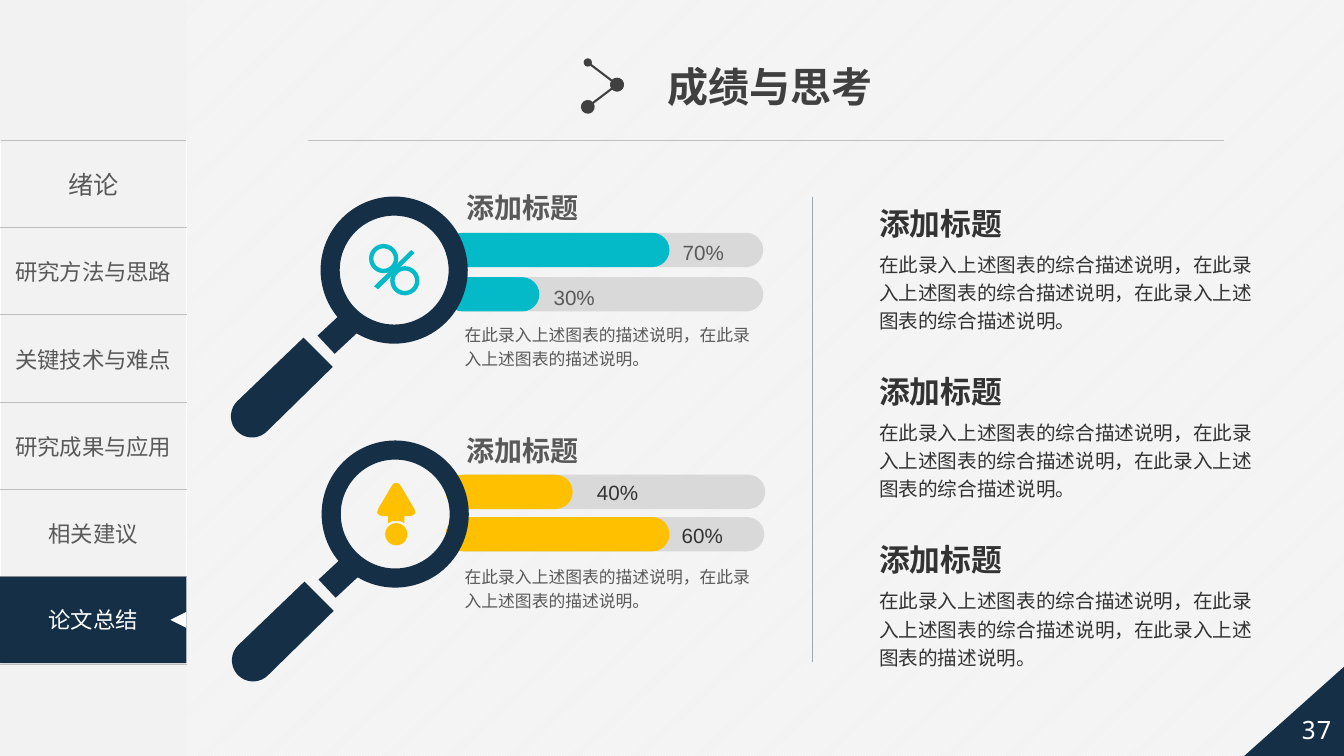
from dataclasses import dataclass
from math import cos, radians, sin
from lxml.etree import SubElement
from pptx import Presentation
from pptx.dml.color import RGBColor
from pptx.enum.dml import MSO_PATTERN
from pptx.enum.shapes import MSO_CONNECTOR, MSO_SHAPE
from pptx.enum.text import MSO_ANCHOR, MSO_AUTO_SIZE, PP_ALIGN
from pptx.oxml.ns import qn
from pptx.util import Inches, Pt


@dataclass(frozen=True)
class Theme:
    navy: str = "152F47"
    teal: str = "05BAC8"
    gold: str = "FFC000"
    track: str = "D9D9D9"
    rule: str = "BFBFBF"
    split: str = "9DA8B1"
    pale: str = "F2F2F2"
    white: str = "FFFFFF"
    head: str = "404040"
    dark: str = "333333"
    gray: str = "595959"
    sans: str = "Noto Sans CJK SC"
    mono: str = "Noto Sans Mono"
    latin: str = "Arial"
    title: float = 29.3
    large: float = 22
    sub: float = 20
    nav: float = 18
    menu: float = 16
    value: float = 14.7
    body: float = 14
    note: float = 12


class Deck:
    def __init__(self, theme, slide):
        self.theme = theme
        self.slide = slide
        self.shapes = slide.shapes

    def color(self, name):
        return RGBColor.from_string(name)

    def ground(self):
        fill = self.slide.background.fill
        fill.patterned()
        fill.pattern = MSO_PATTERN.LIGHT_UPWARD_DIAGONAL
        fill.fore_color.rgb = self.color(self.theme.white)
        fill.back_color.rgb = self.color(self.theme.pale)

    def paint(self, shape, fill):
        shape.shadow.inherit = False
        shape.fill.solid()
        shape.fill.fore_color.rgb = self.color(fill)
        shape.line.fill.background()
        return shape

    def shape(self, kind, box, fill, adjust=None):
        item = self.shapes.add_shape(kind, *map(Inches, box))
        if adjust is not None:
            item.adjustments[0] = adjust
        return self.paint(item, fill)

    def form(self, points, fill):
        spots = [(Inches(x), Inches(y)) for x, y in points]
        maker = self.shapes.build_freeform(*spots[0], scale=1.0)
        maker.add_line_segments(spots[1:], close=True)
        return self.paint(maker.convert_to_shape(), fill)

    def line(self, start, end, color, width, ends=()):
        item = self.shapes.add_connector(
            MSO_CONNECTOR.STRAIGHT, *map(Inches, start + end))
        item.line.color.rgb = self.color(color)
        item.line.width = Pt(width)
        stroke = item._element.spPr.find(qn("a:ln"))
        for tag, size in zip(("a:headEnd", "a:tailEnd"), ends):
            SubElement(stroke, qn(tag), type="oval", w=size, len=size)
        SubElement(item._element.spPr, qn("a:effectLst"))

    def label(self, frame, text, size, color, font=None, bold=False,
              align=PP_ALIGN.LEFT, space=None):
        frame.text = text
        para = frame.paragraphs[0]
        para.alignment = align
        if space:
            para.line_spacing = space
        run = para.runs[0]
        run.font.size = Pt(size)
        run.font.bold = bold
        run.font.color.rgb = self.color(color)
        run.font.name = font or self.theme.sans
        SubElement(run._r.get_or_add_rPr(), qn("a:ea"), typeface=self.theme.sans)

    def text(self, box, text, size, color, wrap=True, **style):
        frame = self.shapes.add_textbox(*map(Inches, box)).text_frame
        frame.word_wrap = wrap
        frame.auto_size = MSO_AUTO_SIZE.SHAPE_TO_FIT_TEXT
        self.label(frame, text, size, color, **style)
        return frame

    def menu(self, names):
        look = self.theme
        grid = self.shapes.add_table(
            len(names) + 1, 1, *map(Inches, (0, 1.39, 1.85, 5.2))).table
        grid.first_row = grid.horz_banding = False
        for row in grid.rows:
            cell = row.cells[0]
            cell.vertical_anchor = MSO_ANCHOR.MIDDLE
            props = cell._tc.get_or_add_tcPr()
            for tag in ("a:lnT", "a:lnB"):
                edge = SubElement(props, qn(tag), w=str(Pt(1)))
                fill = SubElement(edge, qn("a:solidFill"))
                SubElement(fill, qn("a:srgbClr"), val=look.rule)
            cell.fill.background()
        for index, name in enumerate(names):
            size = look.menu if index else look.nav
            self.label(grid.cell(index, 0).text_frame, name, size, look.gray,
                       align=PP_ALIGN.CENTER)

    def bar(self, left, top, width, fill, label, spot, color):
        for x, w, tint in ((left, 3.15, self.theme.track), (4.42, width, fill)):
            self.shape(MSO_SHAPE.ROUNDED_RECTANGLE, (x, top, w, 0.34), tint, 0.5)
        self.text((*spot, 0.71, 0.37), label, self.theme.value, color,
                  font=self.theme.latin, align=PP_ALIGN.CENTER, space=1.2)

    def lens(self, dx, dy):
        navy = self.theme.navy
        neck = [(3.61, 3.24), (3.32, 3.51), (3.15, 3.33), (3.44, 3.06)]
        turn = [radians(a) for a in range(225, 44, -10)]
        grip = [(3.01, 3.35)]
        grip += [(2.5 + 0.21 * cos(a), 4.13 + 0.21 * sin(a)) for a in turn]
        grip += [(3.3, 3.64)]
        for points in (neck, grip):
            self.form([(x + dx, y + dy) for x, y in points], navy)
        self.shape(MSO_SHAPE.DONUT, (3.18 + dx, 1.95 + dy, 1.46, 1.46), navy, 0.13)

    def percent(self):
        teal = self.theme.teal
        for x, y in ((3.66, 2.42), (3.87, 2.64)):
            self.shape(MSO_SHAPE.DONUT, (x, y, 0.29, 0.29), teal, 0.15)
        self.form([(4.11, 2.51), (3.75, 2.87), (3.71, 2.84), (4.08, 2.48)], teal)

    def arrow(self):
        half = [(0, 4.79), (0.03, 4.8), (0.05, 4.83), (0.15, 5), (0.18, 5.05),
                (0.19, 5.09), (0.17, 5.11), (0.14, 5.12), (0.08, 5.12),
                (0.08, 5.19), (0.04, 5.17), (0, 5.17)]
        right = [(3.93 + x, y) for x, y in half]
        left = [(3.93 - x, y) for x, y in half[-2:0:-1]]
        self.form(right + left, self.theme.gold)
        self.shape(MSO_SHAPE.OVAL, (3.82, 5.19, 0.22, 0.22), self.theme.gold)


def main():
    show = Presentation()
    show.slide_width, show.slide_height = Inches(13.33), Inches(7.5)
    look = Theme()
    deck = Deck(look, show.slides.add_slide(show.slide_layouts[6]))
    deck.ground()

    deck.shape(MSO_SHAPE.RECTANGLE, (0, 0, 1.85, 7.5), look.pale)
    deck.menu(["绪论", "研究方法与思路", "关键技术与难点", "研究成果与应用", "相关建议"])
    tab = deck.shape(MSO_SHAPE.RECTANGLE, (0, 5.72, 1.85, 0.86), look.navy)
    tab.text_frame.vertical_anchor = MSO_ANCHOR.MIDDLE
    deck.label(tab.text_frame, "论文总结", look.menu, look.white, align=PP_ALIGN.CENTER)
    mark = deck.shape(MSO_SHAPE.ISOSCELES_TRIANGLE, (1.69, 6.07, 0.16, 0.16), look.white)
    mark.rotation = 270

    corner = deck.shape(MSO_SHAPE.RIGHT_TRIANGLE, (12.33, 6.58, 1.04, 0.93), look.navy)
    corner._element.spPr.xfrm.set("flipH", "1")
    page = deck.text((12.78, 7.04, 0.55, 0.4), "37", look.nav, look.white,
                     font=look.mono, align=PP_ALIGN.CENTER)
    page.margin_left = page.margin_right = 0

    deck.line((3.05, 1.39), (12.14, 1.39), look.rule, 0.5)
    deck.line((8.06, 1.95), (8.06, 6.57), look.split, 1)

    deck.bar(4.42, 2.31, 2.22, look.teal, "70%", (6.62, 2.28), look.gray)
    deck.bar(4.42, 2.75, 0.93, look.teal, "30%", (5.34, 2.73), look.gray)
    deck.bar(4.44, 4.71, 1.26, look.gold, "40%", (5.77, 4.66), look.dark)
    deck.bar(4.43, 5.13, 2.22, look.gold, "60%", (6.61, 5.09), look.dark)
    deck.lens(0, 0)
    deck.percent()
    deck.arrow()
    deck.lens(0.01, 2.42)

    full = "在此录入上述图表的综合描述说明，"
    ends = ["在此录入上述图表的综合描述说明。"] * 2 + ["在此录入上述图表的描述说明。"]
    for index, end in enumerate(ends):
        top = 1.98 + 1.67 * index
        deck.text((8.62, top, 1.44, 0.47), "添加标题", look.large, look.dark,
                  wrap=False, bold=True)
        deck.text((8.62, top + 0.43, 3.96, 0.95), full * 2 + end, look.body,
                  look.dark, space=1.2)
    for top, low in ((1.84, 3.13), (4.25, 5.53)):
        deck.text((4.53, top, 1.32, 0.44), "添加标题", look.sub, look.gray,
                  wrap=False, bold=True)
        deck.text((4.51, low, 3.08, 0.59),
                  "在此录入上述图表的描述说明，在此录入上述图表的描述说明。",
                  look.note, look.gray, space=1.2)

    deck.text((6.52, 0.56, 2.26, 0.59), "成绩与思考", look.title, look.head,
              wrap=False, font=look.latin, bold=True)
    deck.line((5.83, 0.62), (6.12, 0.84), look.head, 1.5, ("med", "lg"))
    deck.line((6.12, 0.84), (5.83, 1.06), look.head, 1.5, ("lg", "lg"))
    show.save("out.pptx")


if __name__ == "__main__":
    main()
